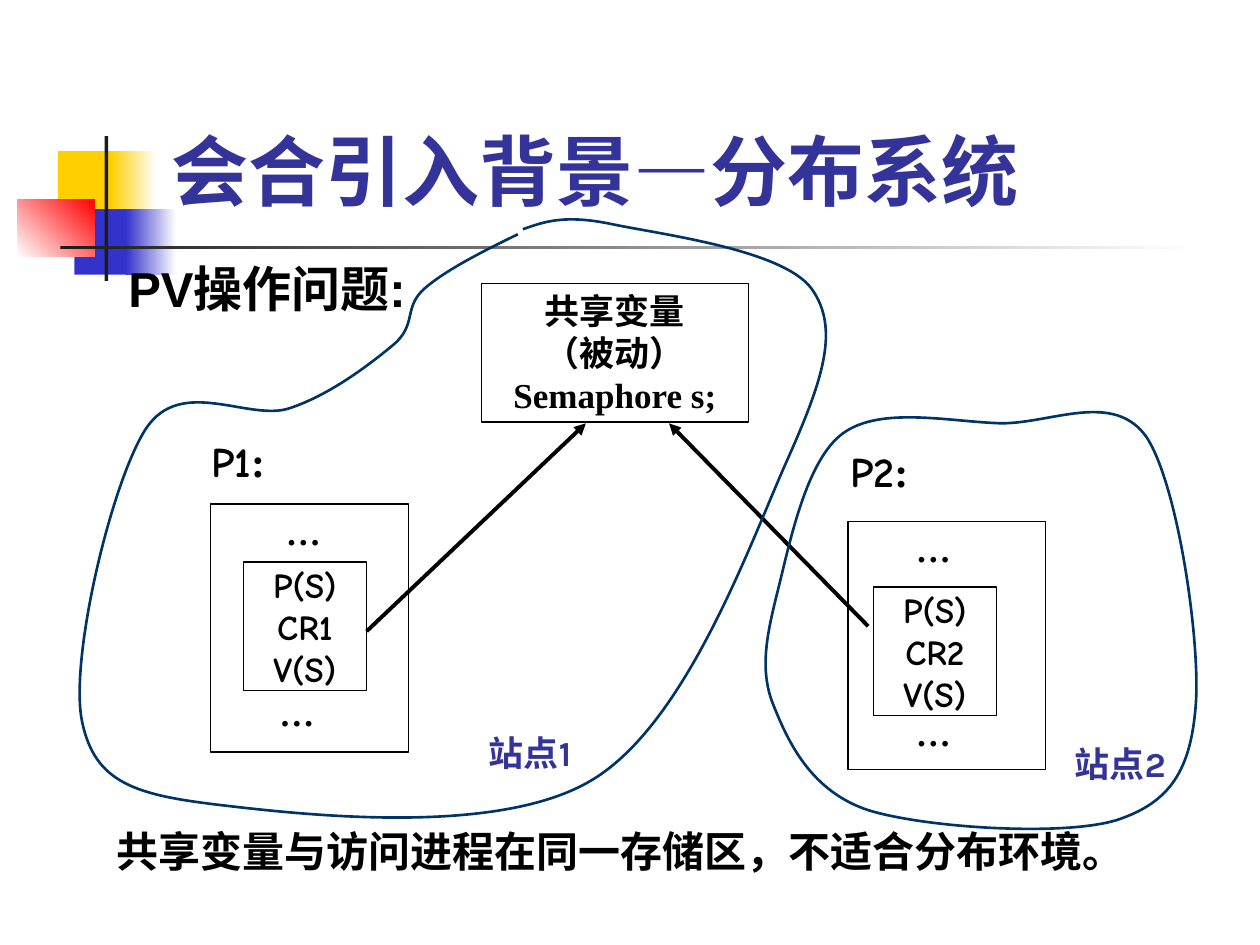
from itertools import chain

from lxml.etree import SubElement
from pptx import Presentation
from pptx.dml.color import RGBColor
from pptx.enum.shapes import MSO_CONNECTOR as Connector, MSO_SHAPE as Preset
from pptx.enum.text import MSO_ANCHOR as Anchor, MSO_AUTO_SIZE as AutoSize, PP_ALIGN as Align
from pptx.oxml.ns import qn
from pptx.util import Pt

PX = 9144

BLACK = RGBColor(0x00, 0x00, 0x00)
WHITE = RGBColor(0xFF, 0xFF, 0xFF)
CHARCOAL = RGBColor(0x1C, 0x1C, 0x1C)
YELLOW = RGBColor(0xFF, 0xCF, 0x01)
BLUE = RGBColor(0x33, 0x33, 0xCC)
RED = RGBColor(0xFF, 0x00, 0x00)
INDIGO = RGBColor(0x33, 0x33, 0x99)
NAVY = RGBColor(0x00, 0x33, 0x66)

SERIF, SANS, COMIC, KARLA = "Times New Roman", "Arial", "Comic Neue", "Karla"

SITE_1 = [
    (411, 186), (382, 200), (353, 215), (337, 229), (320, 244), (331, 257), (313, 273),
    (295, 288), (263, 313), (230, 324), (198, 335), (144, 298), (116, 340),
    (89, 381), (55, 522), (65, 572), (75, 622), (108, 631), (175, 639),
    (243, 647), (396, 664), (470, 619), (545, 574), (595, 432), (624, 367),
    (653, 302), (667, 261), (644, 229), (621, 198), (524, 186), (486, 178),
    (448, 170), (432, 176), (415, 182),
]
SITE_2 = [
    (614, 560), (602, 531), (609, 502), (618, 466), (627, 430), (640, 365), (669, 344),
    (699, 322), (755, 335), (795, 336), (835, 336), (884, 310), (910, 347),
    (935, 385), (953, 510), (949, 560), (945, 611), (929, 637), (886, 651),
    (843, 664), (734, 657), (689, 643), (644, 628), (626, 590), (614, 560),
]


def emu(*lengths):
    """Turn px lengths into EMU."""
    return [length * PX for length in lengths]


def add_span(para, text, size, font, color=BLACK):
    """Add one bold run."""
    span = para.add_run()
    span.text = text
    span.font.size, span.font.name, span.font.bold = Pt(size), font, True
    span.font.color.rgb = color


def add_label(page, place, spans, size, color=BLACK, wrap=True):
    """Add a one-paragraph text box from (text, font) spans."""
    box = page.shapes.add_textbox(*emu(*place))
    frame = box.text_frame
    frame.word_wrap = wrap
    frame.auto_size = AutoSize.SHAPE_TO_FIT_TEXT
    for text, font in spans:
        add_span(frame.paragraphs[0], text, size, font, color)


def add_frame(page, place, lines=(), font=SERIF):
    """Add an outlined rectangle with centred lines of text."""
    box = page.shapes.add_shape(Preset.RECTANGLE, *emu(*place))
    box.shadow.inherit = False
    box.fill.background()
    box.line.color.rgb, box.line.width = BLACK, Pt(0.75)
    frame = box.text_frame
    frame.word_wrap, frame.vertical_anchor = False, Anchor.MIDDLE
    for index, line in enumerate(lines):
        para = frame.add_paragraph() if index else frame.paragraphs[0]
        para.alignment = Align.CENTER
        add_span(para, line, 20, font)


def add_block(page, place, colors, angle=0):
    """Add a borderless block filled with one colour or a two-colour gradient."""
    block = page.shapes.add_shape(Preset.RECTANGLE, *emu(*place))
    block.shadow.inherit = False
    block.line.fill.background()
    if len(colors) == 1:
        block.fill.solid()
        block.fill.fore_color.rgb = colors[0]
        return
    block.fill.gradient()
    block.fill.gradient_angle = angle
    for stop, color, position in zip(block.fill.gradient_stops, colors, (0, 1)):
        stop.color.rgb, stop.position = color, position


def add_ornament(page, left, top):
    """Draw the coloured blocks and the two rules beside the title."""
    for (x, y, width, height), colors, angle in (
        ((32, 12, 48, 52), [YELLOW], 0),
        ((74, 12, 36, 52), [YELLOW, WHITE], 0),
        ((45, 58, 46, 52), [BLUE], 0),
        ((86, 58, 40, 52), [BLUE, WHITE], 0),
        ((0, 50, 61, 46), [WHITE, RED], 45),
        ((69, 0, 3, 115), [CHARCOAL], 0),
        ((34, 87, 900, 3), [CHARCOAL, WHITE], 0),
    ):
        add_block(page, (left + x, top + y, width, height), colors, angle)


def add_title(page, place):
    """Place and format the title."""
    title = page.shapes.title
    title.left, title.top, title.width, title.height = emu(*place)
    frame = title.text_frame
    frame.auto_size, frame.vertical_anchor = AutoSize.NONE, Anchor.BOTTOM
    para = frame.paragraphs[0]
    para.alignment = Align.LEFT
    for text, font in (("会合引入背景", KARLA), ("—", SERIF), ("分布系统", KARLA)):
        add_span(para, text, 44, font, INDIGO)
    page.shapes.element.append(title.element)


def add_process(page, left, top, number, label, section, dots):
    """Draw a process: its label, frame, critical section and ellipses."""
    add_frame(page, (left, top, 157, 197))
    x, y = label
    add_label(page, (left + x, top + y, 75, 50), [(f"P{number}", COMIC), (":", SERIF)], 24)
    x, y = section
    add_frame(page, (left + x, top + y, 98, 102), ("P(S)", f"CR{number}", "V(S)"), COMIC)
    for x, y in dots:
        add_label(page, (left + x, top + y, 67, 43), [("…", SERIF)], 20)


def add_arrow(page, start, end):
    """Draw a thick arrow."""
    arrow = page.shapes.add_connector(Connector.STRAIGHT, *emu(*start, *end))
    arrow.line.color.rgb, arrow.line.width = BLACK, Pt(2.25)
    SubElement(arrow.line._get_or_add_ln(), qn("a:tailEnd"), type="triangle")
    SubElement(arrow.element.spPr, qn("a:effectLst"))


def add_site(page, points, name, name_place, closed):
    """Draw a site's curved outline from Bezier points, and its name."""
    builder = page.shapes.build_freeform(*points[0], scale=PX)
    builder.add_line_segments(points[1:], close=closed)
    outline = builder.convert_to_shape()
    outline.shadow.inherit = False
    outline.fill.background()
    outline.line.color.rgb, outline.line.width = NAVY, Pt(1.5)
    segments = list(outline.element.iter(qn("a:lnTo")))
    for first, second, last in zip(*[iter(segments)] * 3):
        curve = first.makeelement(qn("a:cubicBezTo"))
        first.addprevious(curve)
        for point in list(chain(first, second, last)):
            curve.append(point)
        for segment in (first, second, last):
            segment.getparent().remove(segment)
    add_label(page, name_place, [(name, KARLA)], 20, INDIGO)


def main():
    """Build the slide and save the deck."""
    deck = Presentation()
    deck.slide_width, deck.slide_height = emu(1000, 750)
    page = deck.slides.add_slide(deck.slide_layouts[5])
    add_ornament(page, 14, 108)
    add_title(page, (126, 68, 852, 108))
    add_frame(page, (382, 225, 212, 110), ("共享变量", "（被动）", "Semaphore s;"))
    add_process(page, 167, 400, 1, (-9, -59), (26, 46), ((50, 0), (45, 144)))
    add_process(page, 673, 414, 2, (-8, -65), (20, 52), ((44, 0), (44, 146)))
    add_label(page, (83, 650, 850, 50),
              [("共享变量与访问进程在同一存储区，不适合分布环境。", SERIF)], 24)
    add_arrow(page, (291, 501), (465, 336))
    add_arrow(page, (689, 497), (531, 336))
    add_label(page, (92, 200, 240, 57), [("PV操作问题:", SANS)], 28, wrap=False)
    add_site(page, SITE_1, "站点1", (378, 576, 102, 43), False)
    add_site(page, SITE_2, "站点2", (843, 584, 102, 43), True)
    deck.save("out.pptx")


if __name__ == "__main__":
    main()
